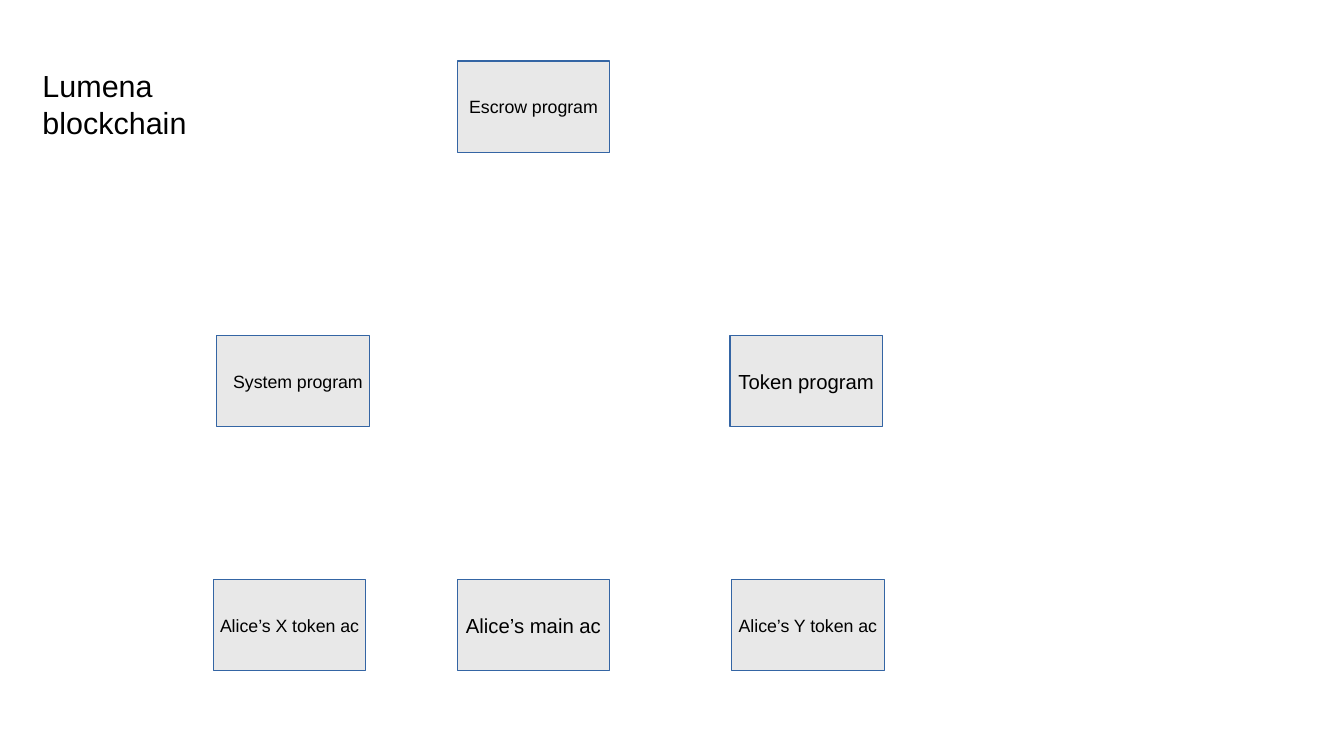
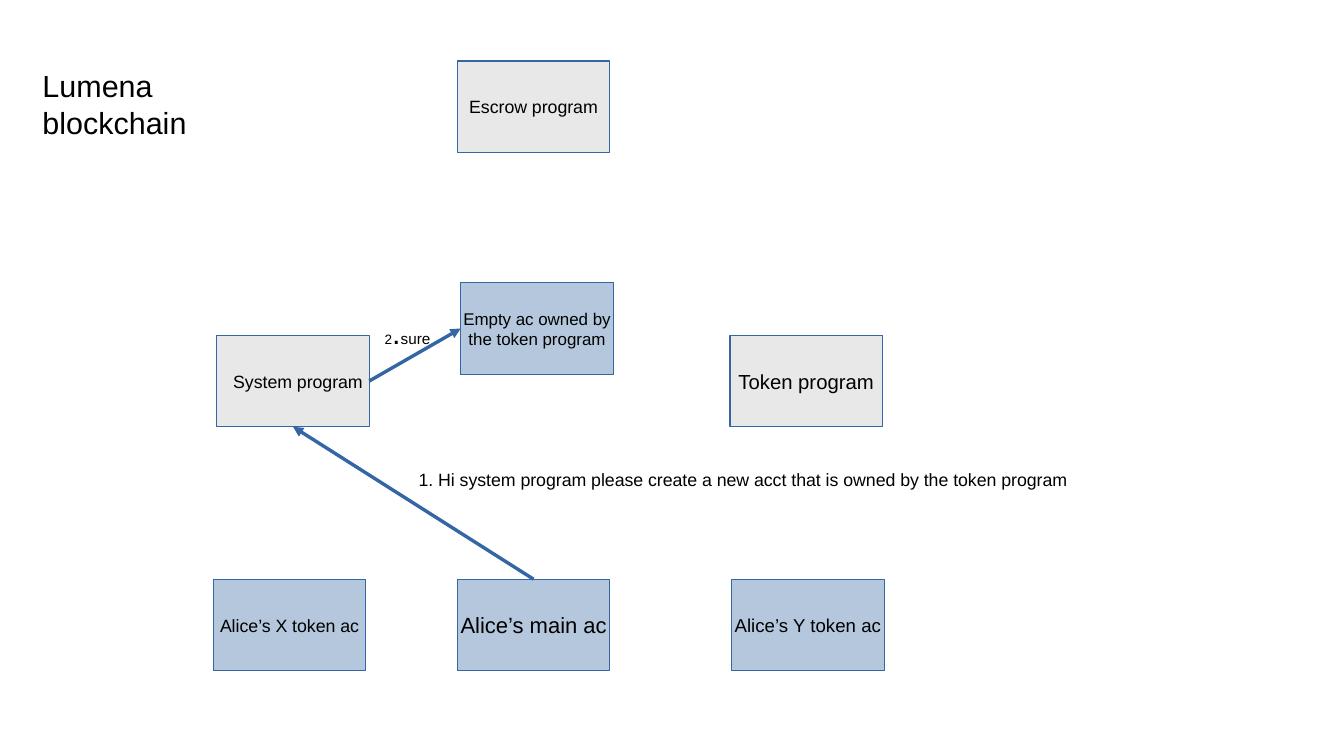
from pptx import Presentation
from pptx.dml.color import RGBColor
from pptx.enum.shapes import MSO_CONNECTOR, MSO_SHAPE
from pptx.enum.text import MSO_ANCHOR, PP_ALIGN
from pptx.oxml.ns import qn
from pptx.util import Pt
from lxml.etree import SubElement

# Shared look
GREY, BLUE, OUTLINE, BLACK = "E8E8E8", "B4C7DC", "3465A4", "000000"
FONT = "Arial"
BOX_WIDTH, BOX_HEIGHT = 90, 54
TOP_ROW, MIDDLE_ROW, BOTTOM_ROW = 36, 198, 342
SYSTEM_INDENT = 13


def paint(color_format, hex_color):
    color_format.rgb = RGBColor.from_string(hex_color)


def write(shape, text, sizes):
    """Fill a shape with text; several sizes mean one run per part split by |."""
    frame = shape.text_frame
    if len(sizes) == 1:
        frame.text = text
    else:
        for part in text.split("|"):
            frame.paragraphs[0].add_run().text = part
    for paragraph in frame.paragraphs:
        for index, run in enumerate(paragraph.runs):
            run.font.name = FONT
            run.font.size = Pt(sizes[index])
            paint(run.font.color, BLACK)


presentation = Presentation()
presentation.slide_width = Pt(793.44)
presentation.slide_height = Pt(446.4)

# Boxes: text, left, top, fill, font size
programs = [
    ("Escrow program", 270, TOP_ROW, GREY, 10.5),
    ("System program", 128, MIDDLE_ROW, GREY, 10.5),
    ("Token program", 431, MIDDLE_ROW, GREY, 12),
]
accounts = [("Alice’s X token ac", 126), ("Alice’s main ac", 270), ("Alice’s Y token ac", 432)]
new_account = ("Empty ac owned by\nthe token program", 272, 167, BLUE, 10)

# Text boxes: text, left, top, width, height, font sizes
title = ("Lumena blockchain", 18, 36, 126, 54, [18])
request = (
    "1. Hi system program please create a new acct that is owned by the token program",
    240, 273, 408, 30, [10.5],
)
answer = ("2|.|sure", 220, 182, 54, 27, [8, 18, 9])

# Arrows: start box, its side, end box, its side (0 top, 1 left, 2 bottom, 3 right)
arrows = [
    ("Alice’s main ac", 0, "System program", 2),
    ("System program", 3, new_account[0], 1),
]

# Slides: account fill, account font sizes, extra boxes, labels, arrows
steps = [
    (GREY, [10.5, 12, 10.5], [], [title], []),
    (BLUE, [10.5, 13, 11], [new_account], [title, request, answer], arrows),
]

for account_fill, account_sizes, extra_boxes, labels, step_arrows in steps:
    slide = presentation.slides.add_slide(presentation.slide_layouts[6])

    # Program and account boxes
    account_boxes = [
        (text, left, BOTTOM_ROW, account_fill, size)
        for (text, left), size in zip(accounts, account_sizes)
    ]
    boxes = {}
    for text, left, top, fill, size in programs + account_boxes + extra_boxes:
        shape = slide.shapes.add_shape(
            MSO_SHAPE.RECTANGLE, Pt(left), Pt(top), Pt(BOX_WIDTH), Pt(BOX_HEIGHT)
        )
        shape.shadow.inherit = False
        shape.fill.solid()
        paint(shape.fill.fore_color, fill)
        paint(shape.line.color, OUTLINE)
        shape.line.width = Pt(0)
        write(shape, text, [size])
        shape.text_frame.word_wrap = False
        shape.text_frame.vertical_anchor = MSO_ANCHOR.MIDDLE
        for paragraph in shape.text_frame.paragraphs:
            paragraph.alignment = PP_ALIGN.CENTER
        boxes[text] = shape
    boxes["System program"].text_frame.margin_left = Pt(SYSTEM_INDENT)

    # Arrows between boxes
    for start, start_side, end, end_side in step_arrows:
        connector = slide.shapes.add_connector(MSO_CONNECTOR.STRAIGHT, 0, 0, 0, 0)
        connector.begin_connect(boxes[start], start_side)
        connector.end_connect(boxes[end], end_side)
        paint(connector.line.color, OUTLINE)
        connector.line.width = Pt(0)
        properties = connector._element.spPr
        SubElement(properties.find(qn("a:ln")), qn("a:tailEnd"), type="triangle")
        SubElement(properties, qn("a:effectLst"))

    # Title and step labels
    for text, left, top, width, height, sizes in labels:
        label = slide.shapes.add_textbox(Pt(left), Pt(top), Pt(width), Pt(height))
        label.text_frame.word_wrap = True
        write(label, text, sizes)

presentation.save("out.pptx")
